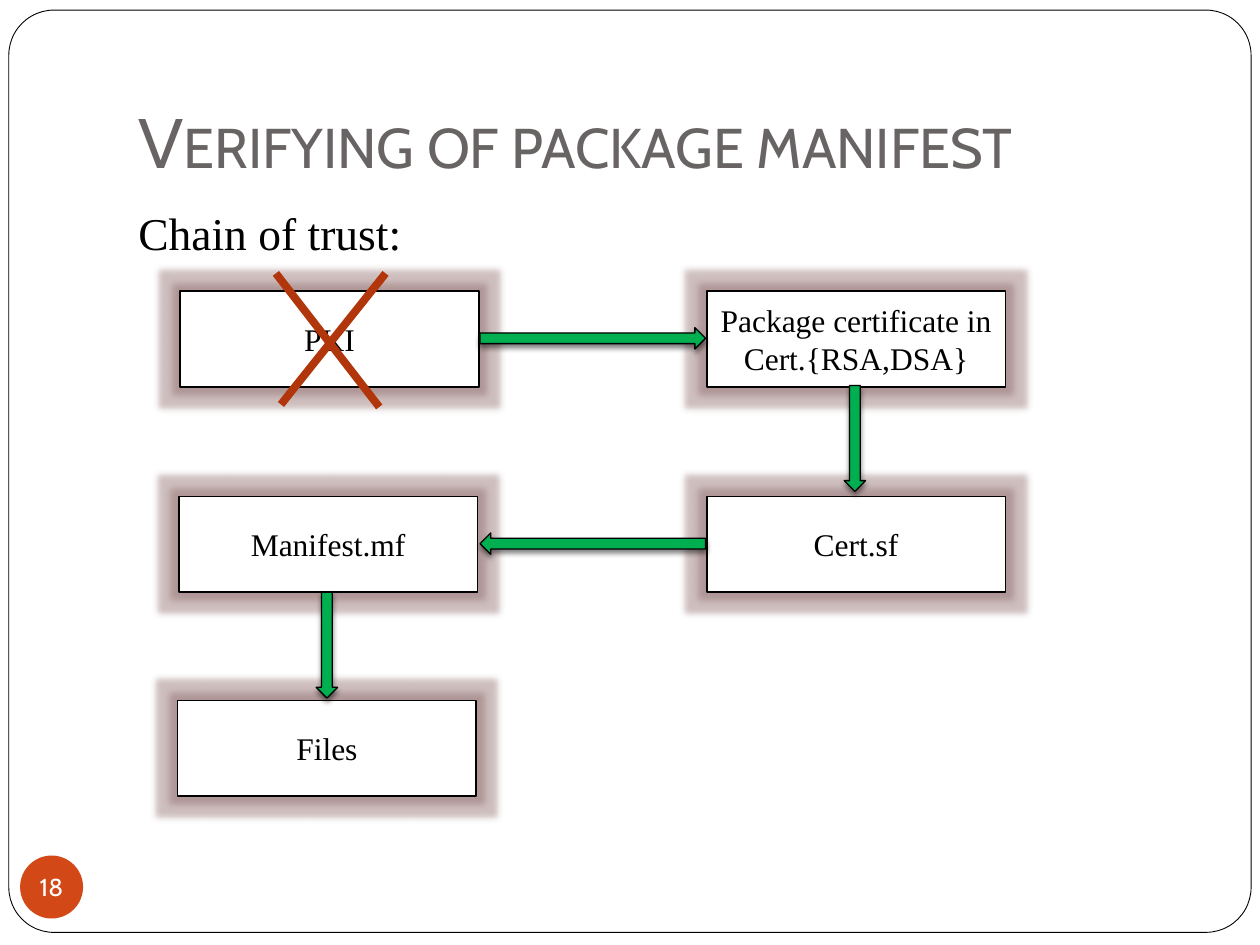
from dataclasses import dataclass

from lxml import etree
from pptx import Presentation
from pptx import util as u
from pptx.dml.color import RGBColor
from pptx.enum import shapes, text
from pptx.oxml.ns import qn


@dataclass(frozen=True)
class Theme:
    heading_font: str = "Cabin"
    body_font: str = "Times New Roman"
    title_size: float = 40
    lead_size: float = 26
    box_size: float = 18
    number_size: float = 14
    white: str = "FFFFFF"
    black: str = "000000"
    title: str = "696464"
    arrow: str = "00B050"
    cross: str = "B1360B"
    badge: str = "D34817"
    glow: str = "855D5D"


def inches(*lengths):
    return [u.Inches(length) for length in lengths]


def write(frame, content, *, font, size, color, align=text.PP_ALIGN.LEFT,
          anchor=text.MSO_ANCHOR.TOP, margins=(0.1, 0.05, 0.1, 0.05),
          wrap=True, space_before=0, small_caps=False):
    frame.auto_size = text.MSO_AUTO_SIZE.NONE
    frame.word_wrap = wrap
    frame.vertical_anchor = anchor
    (frame.margin_left, frame.margin_top,
     frame.margin_right, frame.margin_bottom) = inches(*margins)
    paragraph = frame.paragraphs[0]
    paragraph.alignment = align
    paragraph.space_before = u.Pt(space_before)
    run = paragraph.add_run()
    run.text = content
    run.font.name = font
    run.font.size = u.Pt(size)
    run.font.color.rgb = RGBColor.from_string(color)
    if small_caps:
        run.font._element.set("cap", "small")


def add_effect(shape, kind, color, opacity, **attributes):
    effects = shape.element.spPr.find(qn("a:effectLst"))
    effect = etree.SubElement(effects, qn(f"a:{kind}"), attributes)
    tint = etree.SubElement(effect, qn("a:srgbClr"), val=color)
    etree.SubElement(tint, qn("a:alpha"), val=str(opacity * 1000))


class SlideBuilder:
    def __init__(self, slide, theme):
        self.slide = slide
        self.theme = theme

    def shape(self, kind, bounds, fill, line_width=0):
        shape = self.slide.shapes.add_shape(kind, *inches(*bounds))
        shape.shadow.inherit = False
        shape.fill.solid()
        shape.fill.fore_color.rgb = RGBColor.from_string(fill)
        if line_width:
            shape.line.color.rgb = RGBColor.from_string(self.theme.black)
            shape.line.width = u.Pt(line_width)
        else:
            shape.line.fill.background()
        return shape

    def frame(self, bounds):
        frame = self.shape(shapes.MSO_SHAPE.ROUNDED_RECTANGLE, bounds,
                           self.theme.white, 0.5)
        frame.adjustments[0] = 0.049
        self.slide.shapes.title.element.addprevious(frame.element)

    def title(self, content, bounds):
        title = self.slide.shapes.title
        title.left, title.top, title.width, title.height = inches(*bounds)
        write(title.text_frame, content, font=self.theme.heading_font,
              size=self.theme.title_size, color=self.theme.title,
              anchor=text.MSO_ANCHOR.BOTTOM, margins=(0.1, 0.05, 0.1, 0.1),
              small_caps=True)

    def lead(self, content, bounds):
        box = self.slide.shapes.add_textbox(*inches(*bounds))
        write(box.text_frame, content, font=self.theme.body_font,
              size=self.theme.lead_size, color=self.theme.black,
              space_before=5.8)

    def box(self, content, bounds):
        box = self.shape(shapes.MSO_SHAPE.RECTANGLE, bounds,
                         self.theme.white, 1)
        add_effect(box, "glow", self.theme.glow, 40, rad=str(u.Pt(8)))
        write(box.text_frame, content, font=self.theme.body_font,
              size=self.theme.box_size, color=self.theme.black,
              align=text.PP_ALIGN.CENTER, anchor=text.MSO_ANCHOR.MIDDLE)

    def arrow(self, kind, bounds):
        arrow = self.shape(kind, bounds, self.theme.arrow, 0.75)
        add_effect(arrow, "outerShdw", self.theme.black, 50,
                   blurRad=str(u.Pt(3)), dist=str(u.Pt(2)), dir="5400000",
                   rotWithShape="0")

    def stroke(self, start, end):
        line = self.slide.shapes.add_connector(
            shapes.MSO_CONNECTOR.STRAIGHT, *inches(*start, *end))
        line.line.color.rgb = RGBColor.from_string(self.theme.cross)
        line.line.width = u.Pt(4.5)
        etree.SubElement(line.element.spPr, qn("a:effectLst"))

    def number(self, content, bounds):
        badge = self.shape(shapes.MSO_SHAPE.OVAL, bounds, self.theme.badge)
        write(badge.text_frame, content, font=self.theme.heading_font,
              size=self.theme.number_size, color=self.theme.white,
              align=text.PP_ALIGN.CENTER, anchor=text.MSO_ANCHOR.MIDDLE,
              margins=(0, 0, 0, 0), wrap=False)


def main():
    presentation = Presentation()
    presentation.slide_width, presentation.slide_height = inches(10, 7.5)
    slide = presentation.slides.add_slide(presentation.slide_layouts[5])
    builder = SlideBuilder(slide, Theme())

    builder.frame((0.07, 0.08, 9.86, 7.32))
    builder.title("Verifying of package manifest", (1, 0.3, 8.5, 1.25))
    builder.lead("Chain of trust:", (1, 1.58, 8.5, 5))

    box_width, box_height = 2.37, 0.76
    right_column = 5.61
    first_row, second_row, third_row = 2.31, 3.94, 5.56
    for content, left, top in (
        ("PKI", 1.43, first_row),
        ("Package certificate in Cert.{RSA,DSA}", right_column, first_row),
        ("Cert.sf", right_column, second_row),
        ("Manifest.mf", 1.42, second_row),
        ("Files", 1.41, third_row),
    ):
        builder.box(content, (left, top, box_width, box_height))

    thickness = 0.17
    across, down = (1.79, thickness), (thickness, 0.84)
    for kind, position, size in (
        (shapes.MSO_SHAPE.RIGHT_ARROW, (3.81, 2.6), across),
        (shapes.MSO_SHAPE.DOWN_ARROW, (6.7, 3.06), down),
        (shapes.MSO_SHAPE.LEFT_ARROW, (3.81, 4.23), across),
        (shapes.MSO_SHAPE.DOWN_ARROW, (2.51, 4.7), down),
    ):
        builder.arrow(kind, position + size)

    builder.number("18", (0.16, 6.79, 0.5, 0.5))
    builder.stroke((2.19, 2.17), (3.01, 3.23))
    builder.stroke((3.06, 2.17), (2.23, 3.21))
    presentation.save("out.pptx")


if __name__ == "__main__":
    main()
